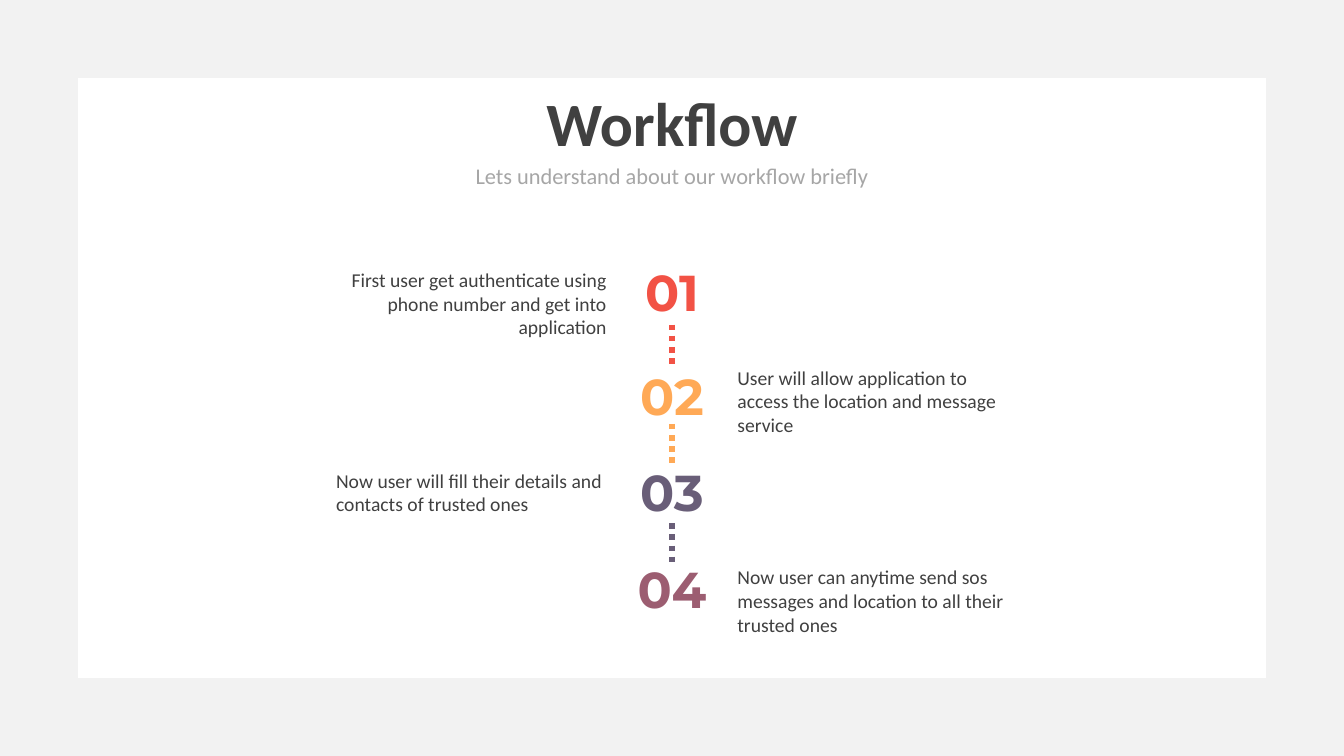
from lxml import etree
from pptx import Presentation
from pptx.dml.color import RGBColor
from pptx.enum.dml import MSO_LINE
from pptx.enum.shapes import MSO_CONNECTOR, MSO_SHAPE
from pptx.enum.text import MSO_AUTO_SIZE, PP_ALIGN
from pptx.oxml.ns import qn
from pptx.util import Inches, Pt

WIDE, HIGH = 13.33, 7.5
MID = WIDE / 2
DARK, GREY, PALE = "404040", "A6A6A6", "F2F2F2"
LEFT, CENTER, RIGHT = PP_ALIGN.LEFT, PP_ALIGN.CENTER, PP_ALIGN.RIGHT
NUM_W, NOTE_W = 1.1, 2.88
DOT_TOP, DOT_STEP, DOT_LEN = 3.22, 0.985, 0.4

HEADS = [
    ("Workflow", 0.79, 4.8, 0.84, 44, DARK, True),
    ("Lets understand about our workflow briefly", 1.56, 8.51, 0.37, 16, GREY, False),
]
STEPS = [
    ("F25245", 2.54, "First user get authenticate using phone number and get into application",
     2.61, 0.81, RIGHT),
    ("FFA956", 3.57, "User will allow application to access the location and message service",
     3.58, 0.81, LEFT),
    ("695E78", 4.53, "Now user will fill their details and contacts of trusted ones",
     4.6, 0.57, LEFT),
    ("9C5D71", 5.49, "Now user can anytime send sos messages and location to all their trusted ones",
     5.56, 0.81, LEFT),
]


def color(code):
    return RGBColor.from_string(code)


def add_text(slide, text, x, y, w, h, size, code, align, bold=False, face="Calibri"):
    box = slide.shapes.add_textbox(Inches(x), Inches(y), Inches(w), Inches(h))
    frame = box.text_frame
    frame.word_wrap = True
    frame.auto_size = MSO_AUTO_SIZE.SHAPE_TO_FIT_TEXT
    frame.text = text
    para = frame.paragraphs[0]
    para.alignment = align
    font = para.runs[0].font
    font.name, font.size, font.bold = face, Pt(size), bold
    font.color.rgb = color(code)


def add_dots(slide, y, code):
    link = slide.shapes.add_connector(
        MSO_CONNECTOR.STRAIGHT, Inches(MID), Inches(y), Inches(MID), Inches(y + DOT_LEN))
    link.line.color.rgb = color(code)
    link.line.width = Pt(4)
    link.line.dash_style = MSO_LINE.ROUND_DOT
    props = link.line._get_or_add_ln()
    props.find(qn("a:prstDash")).set("val", "sysDot")
    etree.SubElement(link._element.spPr, qn("a:effectLst"))


def main():
    deck = Presentation()
    deck.slide_width, deck.slide_height = Inches(WIDE), Inches(HIGH)
    slide = deck.slides.add_slide(deck.slide_layouts[6])

    edge = slide.shapes.add_shape(MSO_SHAPE.FRAME, 0, 0, Inches(WIDE), Inches(HIGH))
    edge.adjustments[0] = 0.103
    edge.shadow.inherit = False
    edge.fill.solid()
    edge.fill.fore_color.rgb = color(PALE)
    edge.line.fill.background()

    for text, y, w, h, size, code, bold in HEADS:
        add_text(slide, text, MID - w / 2, y, w, h, size, code, CENTER, bold)

    for i, (code, y, note, note_y, note_h, align) in enumerate(STEPS):
        add_text(slide, f"{i + 1:02}", MID - NUM_W / 2, y, NUM_W, 0.71, 36, code,
                 CENTER, True, "Montserrat")
        x = MID + NUM_W / 2 if i % 2 else MID - NUM_W / 2 - NOTE_W
        add_text(slide, note, x, note_y, NOTE_W, note_h, 14, DARK, align)
        if i < len(STEPS) - 1:
            add_dots(slide, DOT_TOP + i * DOT_STEP, code)

    deck.save("out.pptx")


if __name__ == "__main__":
    main()
